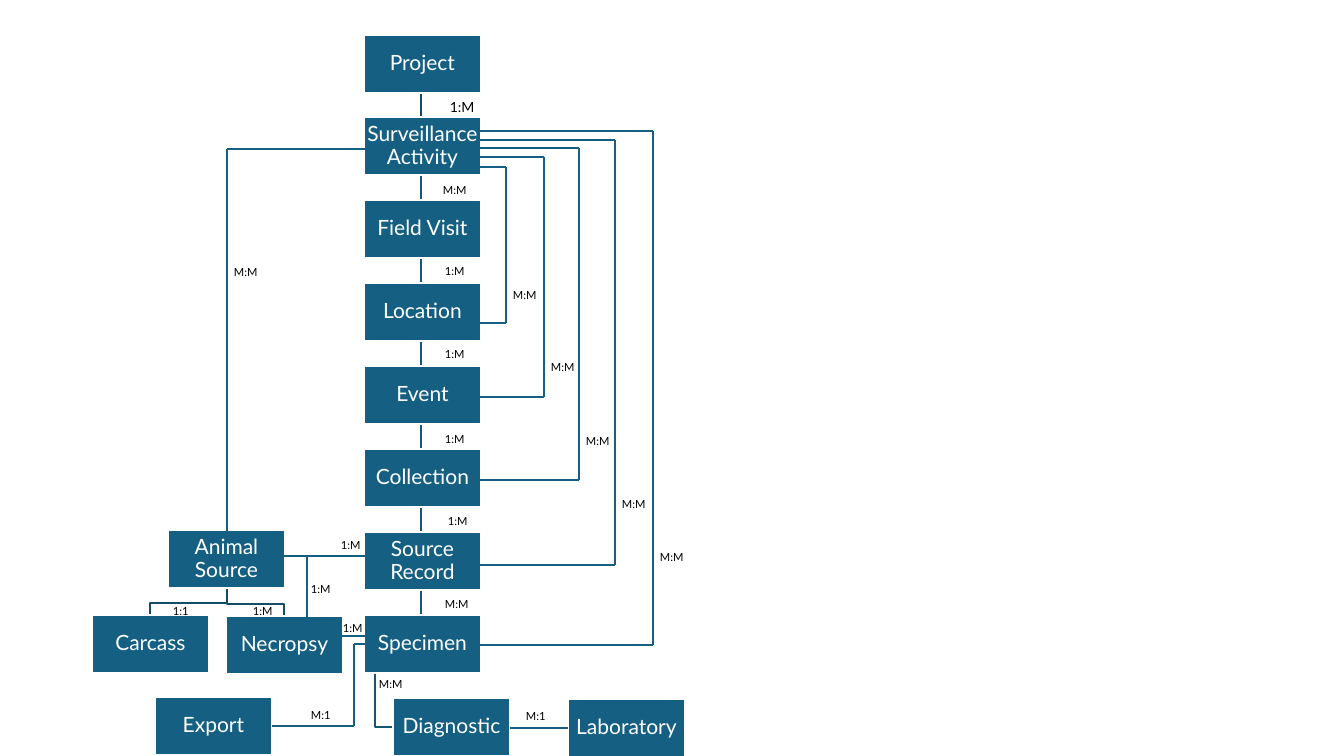
from itertools import pairwise

from lxml.etree import SubElement
from pptx import Presentation
from pptx.dml.color import RGBColor
from pptx.enum.shapes import MSO_CONNECTOR, MSO_SHAPE
from pptx.enum.text import MSO_ANCHOR, PP_ALIGN
from pptx.oxml.ns import qn
from pptx.util import Pt

SCALE = 914400 / 100.8
COLORS = {
    "box": "156082",
    "chain": "135776",
    "branch": "114D68",
    "white": "FFFFFF",
    "label": "000000",
}
BOX_WIDTH, BOX_HEIGHT = 117, 58
COLUMN_LEFT, COLUMN_CENTER = 364, 421
LOOP_START = 478

ENTITIES = [
    "Project", "Surveillance Activity", "Field Visit", "Location",
    "Event", "Collection", "Source Record", "Specimen",
]
ENTITY_TOPS = [35 + 580 * index // 7 for index in range(len(ENTITIES))]
SIDE_ENTITIES = [
    ("Diagnostic", 393, 698),
    ("Animal Source", 168, 530),
    ("Carcass", 92, 615),
    ("Necropsy", 226, 616),
    ("Laboratory", 568, 699),
    ("Export", 155, 697),
]
ELBOWS = [
    ("branch", [(227, 589), (227, 604), (284, 604), (284, 616)]),
    ("branch", [(227, 589), (227, 603), (150, 603), (150, 615)]),
    ("chain", [(375, 673), (375, 727), (393, 727)]),
]
LOOPS = [
    (506, 167, 323, 283),
    (544, 157, 397, 355),
    (579, 148, 480, 429),
    (615, 140, 565, 492),
    (653, 131, 645, 545),
]
ROUTES = [
    [(227, 533), (227, 149), (380, 149)],
    [(380, 556), (279, 556)],
    [(307, 556), (307, 622)],
    [(510, 728), (568, 728)],
    [(272, 726), (354, 726), (354, 644), (365, 644)],
    [(365, 636), (342, 636)],
]
CARDINALITIES = {
    "1:M": [
        (435, 259), (435, 342), (435, 427), (438, 509),
        (331, 533), (243, 599), (301, 577), (333, 616),
    ],
    "M:M": [(433, 178), (435, 592), (224, 260), (369, 672)],
    "1:1": [(163, 599)],
    "M:1": [(516, 704), (301, 703)],
}


def px(value):
    return round(value * SCALE)


def color(name):
    return RGBColor.from_string(COLORS[name])


class Diagram:
    """Draws entities, relations and cardinalities on one slide."""

    def __init__(self, slide, font="Lato", line_width=1.5):
        self.shapes = slide.shapes
        self.font = font
        self.line_width = Pt(line_width)

    def style_line(self, line, color_name):
        line.color.rgb = color(color_name)
        line.width = self.line_width

    def style_text(self, text_frame, text, size, color_name):
        text_frame.text = text
        text_frame.word_wrap = True
        font = text_frame.paragraphs[0].runs[0].font
        font.name = self.font
        font.size = Pt(size)
        font.color.rgb = color(color_name)

    def box(self, text, left, top):
        shape = self.shapes.add_shape(
            MSO_SHAPE.RECTANGLE, px(left), px(top), px(BOX_WIDTH), px(BOX_HEIGHT)
        )
        shape.shadow.inherit = False
        shape.fill.solid()
        shape.fill.fore_color.rgb = color("box")
        self.style_line(shape.line, "white")
        text_frame = shape.text_frame
        self.style_text(text_frame, text, 15, "white")
        text_frame.vertical_anchor = MSO_ANCHOR.MIDDLE
        text_frame.margin_left = text_frame.margin_right = px(1)
        text_frame.margin_top = text_frame.margin_bottom = px(1)
        paragraph = text_frame.paragraphs[0]
        paragraph.alignment = PP_ALIGN.CENTER
        paragraph.line_spacing = 0.9

    def elbow(self, points, color_name):
        start, *rest = [(px(x), px(y)) for x, y in points]
        builder = self.shapes.build_freeform(*start)
        builder.add_line_segments(rest, close=False)
        shape = builder.convert_to_shape()
        shape.shadow.inherit = False
        shape.fill.background()
        self.style_line(shape.line, color_name)

    def route(self, points, color_name="box"):
        for (x1, y1), (x2, y2) in pairwise(points):
            connector = self.shapes.add_connector(
                MSO_CONNECTOR.STRAIGHT, px(x1), px(y1), px(x2), px(y2)
            )
            self.style_line(connector.line, color_name)
            SubElement(connector._element.spPr, qn("a:effectLst"))

    def label(self, text, left, top, size=8, height=24):
        shape = self.shapes.add_textbox(px(left), px(top), px(64), px(height))
        self.style_text(shape.text_frame, text, size, "label")


def main():
    presentation = Presentation()
    presentation.slide_width = px(1344)
    presentation.slide_height = px(756)
    diagram = Diagram(presentation.slides.add_slide(presentation.slide_layouts[6]))

    for color_name, points in ELBOWS:
        diagram.elbow(points, color_name)
    for index, (upper, lower) in enumerate(pairwise(ENTITY_TOPS)):
        points = [(COLUMN_CENTER, upper + BOX_HEIGHT), (COLUMN_CENTER, lower)]
        diagram.route(points, "chain" if index else "branch")

    for name, top in zip(ENTITIES, ENTITY_TOPS):
        diagram.box(name, COLUMN_LEFT, top)
    for name, left, top in SIDE_ENTITIES:
        diagram.box(name, left, top)

    for lane, top, bottom, label_top in LOOPS:
        diagram.route(
            [(LOOP_START, top), (lane, top), (lane, bottom), (LOOP_START, bottom)]
        )
        diagram.label("M:M", lane - 3, label_top)
    for points in ROUTES:
        diagram.route(points)

    diagram.label("1:M", 440, 94, size=10, height=27)
    for text, positions in CARDINALITIES.items():
        for left, top in positions:
            diagram.label(text, left, top)

    presentation.save("out.pptx")


if __name__ == "__main__":
    main()
